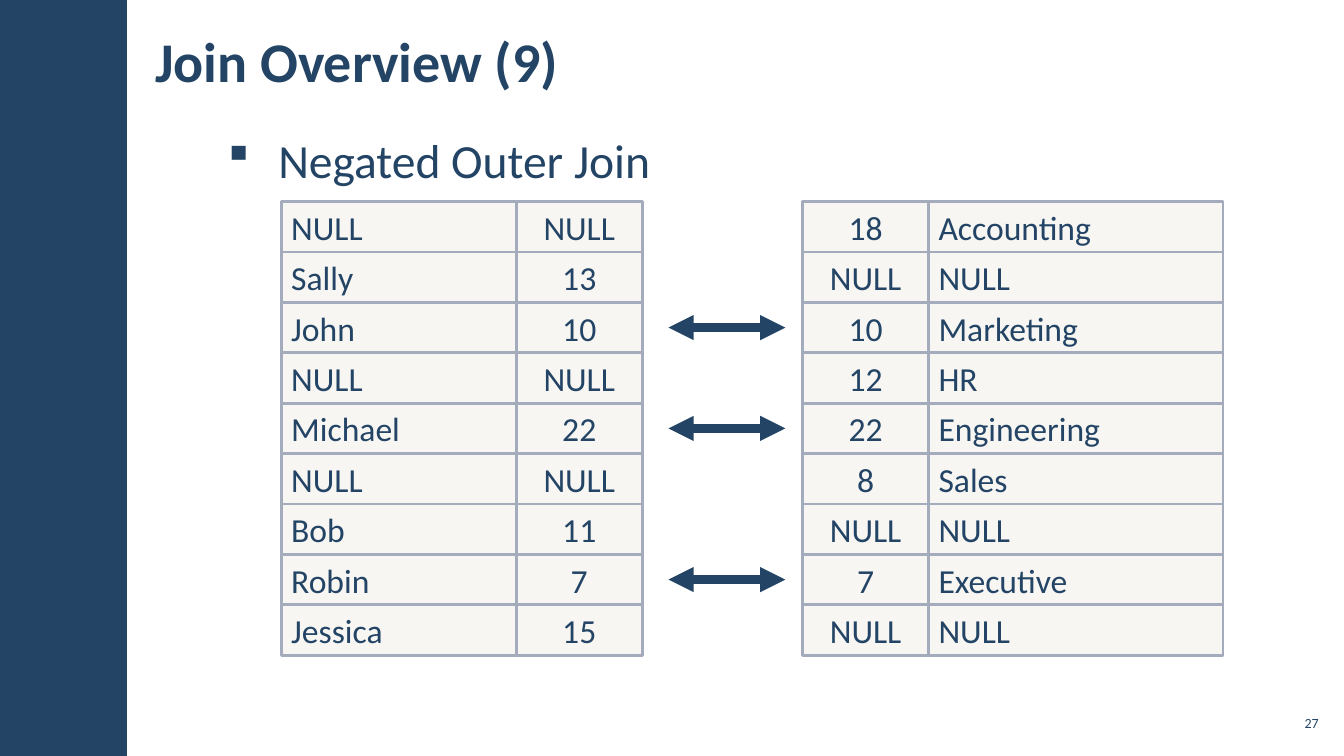
from lxml.etree import SubElement
from pptx import Presentation
from pptx.dml.color import RGBColor
from pptx.enum.shapes import MSO_CONNECTOR, MSO_SHAPE
from pptx.enum.text import MSO_ANCHOR, PP_ALIGN
from pptx.oxml.ns import qn
from pptx.util import Inches, Pt

# Content
TITLE = "Join Overview (9)"
BULLET = "Negated Outer Join"
PAGE = "27"
EMPLOYEES = [
    ("NULL", "NULL"), ("Sally", "13"), ("John", "10"),
    ("NULL", "NULL"), ("Michael", "22"), ("NULL", "NULL"),
    ("Bob", "11"), ("Robin", "7"), ("Jessica", "15"),
]
DEPARTMENTS = [
    ("18", "Accounting"), ("NULL", "NULL"), ("10", "Marketing"),
    ("12", "HR"), ("22", "Engineering"), ("8", "Sales"),
    ("NULL", "NULL"), ("7", "Executive"), ("NULL", "NULL"),
]

# Style and grid, in inches
NAVY, CELL, BORDER = "234465", "D9D5C7", "A3ABBC"
CELL_OPACITY = 20
FONT = "Calibri"
WIDTH, HEIGHT = 13.33, 7.5
TOP, ROW = 2, 0.5
NAME_W, KEY_W, DEPT_W = 2.33, 1.25, 2.92
LEFT_X, RIGHT_X = 2.79, 7.96
ARROW_X = (6.63, 7.79)


def rgb(color):
    return RGBColor.from_string(color)


def style(p, size, bold=False, align=PP_ALIGN.LEFT):
    p.alignment = align
    for r in p.runs:
        r.font.name, r.font.size, r.font.bold = FONT, Pt(size), bold
        r.font.color.rgb = rgb(NAVY)


def add_text(s, box, text, anchor, inset):
    tf = s.shapes.add_textbox(*map(Inches, box)).text_frame
    tf.word_wrap = True
    tf.vertical_anchor = anchor
    tf.margin_left = tf.margin_right = Inches(inset)
    tf.margin_top = tf.margin_bottom = Inches(0.04)
    tf.text = text
    return tf.paragraphs[0]


def add_rect(s, box, color):
    sp = s.shapes.add_shape(MSO_SHAPE.RECTANGLE, *map(Inches, box))
    sp.shadow.inherit = False
    sp.fill.solid()
    sp.fill.fore_color.rgb = rgb(color)
    sp.line.fill.background()
    return sp


def add_cell(s, box, text, align):
    sp = add_rect(s, box, CELL)
    color = sp._element.spPr.find(qn("a:solidFill")).find(qn("a:srgbClr"))
    SubElement(color, qn("a:alpha"), val=str(CELL_OPACITY * 1000))
    sp.line.color.rgb = rgb(BORDER)
    sp.line.width = Pt(2)
    tf = sp.text_frame
    tf.vertical_anchor = MSO_ANCHOR.MIDDLE
    tf.text = text
    style(tf.paragraphs[0], 24, align=align)


def add_grid(s, left, widths, rows, key_col):
    for i, row in enumerate(rows):
        for j, text in enumerate(row):
            box = (left + sum(widths[:j]), TOP + i * ROW, widths[j], ROW)
            align = PP_ALIGN.CENTER if j == key_col else PP_ALIGN.LEFT
            add_cell(s, box, text, align)


def add_arrow(s, y):
    x1, x2 = ARROW_X
    line = s.shapes.add_connector(MSO_CONNECTOR.STRAIGHT, Inches(x1), Inches(y),
                                  Inches(x2), Inches(y))
    line.line.color.rgb = rgb(NAVY)
    line.line.width = Pt(6)
    ln = line._element.spPr.find(qn("a:ln"))
    for end in ("a:headEnd", "a:tailEnd"):
        SubElement(ln, qn(end), type="triangle")
    SubElement(line._element.spPr, qn("a:effectLst"))


def main():
    prs = Presentation()
    prs.slide_width, prs.slide_height = Inches(WIDTH), Inches(HEIGHT)
    s = prs.slides.add_slide(prs.slide_layouts[6])

    # Side band
    add_rect(s, (0, 0, 1.26, HEIGHT), NAVY)

    # Title, bullet and page number
    p = add_text(s, (1.42, 0.11, 9.19, 0.97), TITLE, MSO_ANCHOR.MIDDLE, 0.12)
    style(p, 40, bold=True)

    p = add_text(s, (2.14, 1.23, 10.98, 5.77), BULLET, MSO_ANCHOR.TOP, 0.12)
    p.line_spacing = 1.05
    p_pr = p._p.get_or_add_pPr()
    p_pr.set("marL", str(Inches(0.5)))
    p_pr.set("indent", str(-Inches(0.5)))
    SubElement(p_pr, qn("a:buFont"), typeface="Wingdings")
    SubElement(p_pr, qn("a:buChar"), char="§")
    style(p, 34)

    p = add_text(s, (12.65, 7, 0.47, 0.34), PAGE, MSO_ANCHOR.MIDDLE, 0.04)
    style(p, 10, align=PP_ALIGN.RIGHT)

    # Joined rows
    add_grid(s, LEFT_X, (NAME_W, KEY_W), EMPLOYEES, key_col=1)
    add_grid(s, RIGHT_X, (KEY_W, DEPT_W), DEPARTMENTS, key_col=0)

    # An arrow wherever both keys match
    for i, ((_, key), (dept_key, _)) in enumerate(zip(EMPLOYEES, DEPARTMENTS)):
        if key == dept_key:
            add_arrow(s, TOP + (i + 0.5) * ROW)

    prs.save("out.pptx")


if __name__ == "__main__":
    main()
